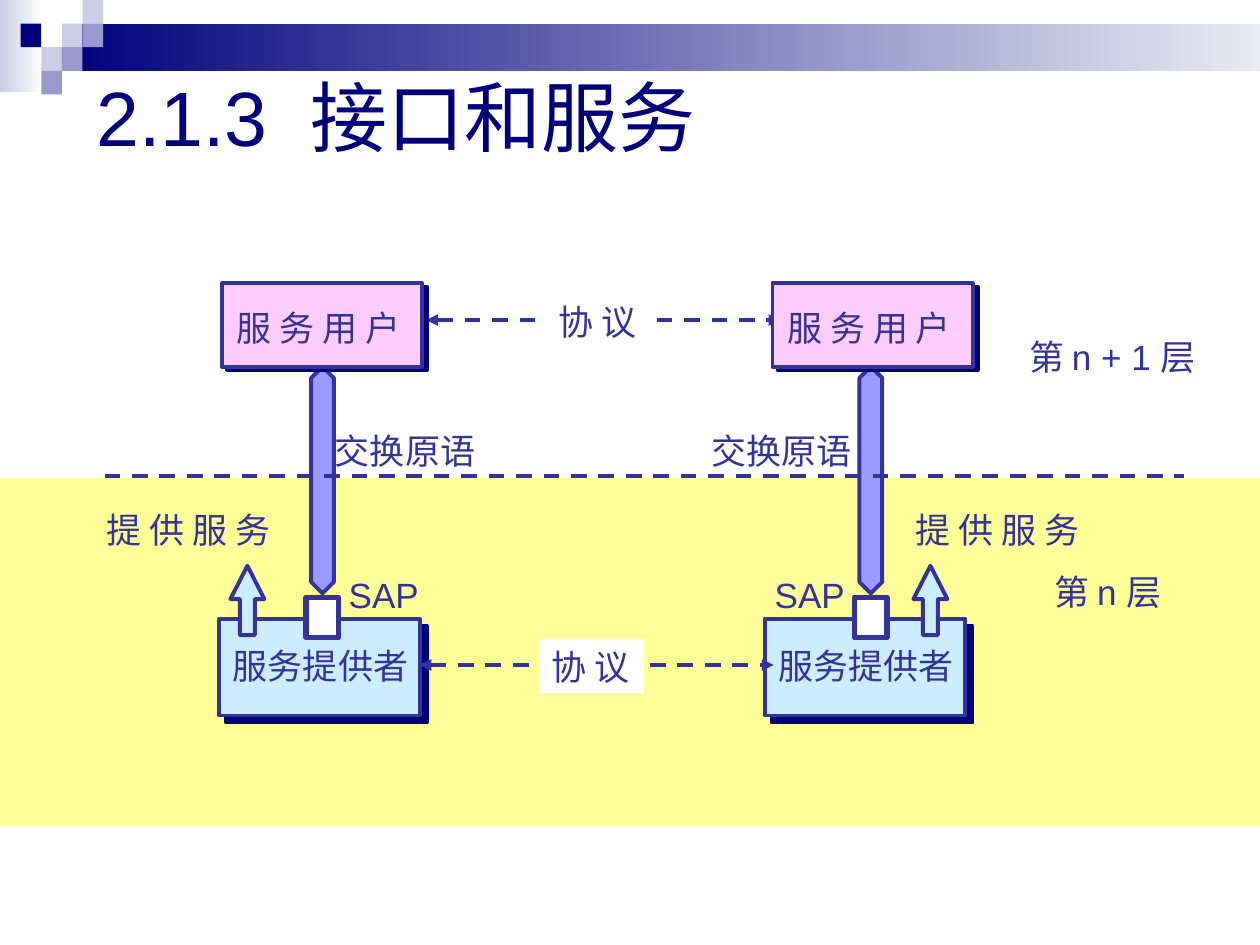
from pptx import Presentation, util as u
from pptx.dml.color import RGBColor
from pptx.enum import dml, shapes, text
from pptx.oxml import parse_xml
from pptx.oxml.ns import nsdecls

Pt = u.Pt
MS = shapes.MSO_SHAPE
NAVY = RGBColor(0x00, 0x00, 0x7D)
INDIGO = RGBColor(0x33, 0x33, 0x99)
VIOLET = RGBColor(0x99, 0x99, 0xFF)
LILAC = RGBColor(0x99, 0x99, 0xCC)
PALE = RGBColor(0xCC, 0xCC, 0xE6)
PINK = RGBColor(0xFF, 0xCC, 0xFF)
SKY = RGBColor(0xCC, 0xEC, 0xFF)
YELLOW = RGBColor(0xFF, 0xFF, 0x99)
WHITE = RGBColor(0xFF, 0xFF, 0xFF)


def add_box(s, x, y, w, h, fill, kind=MS.RECTANGLE, line=0, adj=(), shadow=None):
    """Add a preset shape; shadow is (distance in points, angle in degrees)."""
    sp = s.shapes.add_shape(kind, Pt(x), Pt(y), Pt(w), Pt(h))
    for i, value in enumerate(adj):
        sp.adjustments[i] = value
    if isinstance(fill, tuple) and not isinstance(fill, RGBColor):
        sp.fill.gradient()
        sp.fill.gradient_angle = 0
        for stop, color, pos in zip(sp.fill.gradient_stops, fill, (0, 1)):
            stop.color.rgb, stop.position = color, pos
    else:
        sp.fill.solid()
        sp.fill.fore_color.rgb = fill
    if line:
        sp.line.color.rgb = INDIGO
        sp.line.width = Pt(line)
    else:
        sp.line.fill.background()
    sp.shadow.inherit = False
    if shadow:
        dist, angle = shadow
        effects = sp._element.spPr.find('{*}effectLst')
        effects.append(parse_xml(
            f'<a:outerShdw {nsdecls("a")} blurRad="0" dist="{Pt(dist)}" dir="{angle * 60000}" '
            f'algn="ctr" rotWithShape="0"><a:srgbClr val="{NAVY}"/></a:outerShdw>'))
    return sp


def add_text(s, words, x, y, w, h=31, size=20, color=INDIGO, fill=None, wrap=False,
             anchor=text.MSO_ANCHOR.TOP, grow=True):
    sp = s.shapes.add_textbox(Pt(x), Pt(y), Pt(w), Pt(h))
    if fill is not None:
        sp.fill.solid()
        sp.fill.fore_color.rgb = fill
    tf = sp.text_frame
    tf.word_wrap = wrap
    tf.vertical_anchor = anchor
    if grow:
        tf.auto_size = text.MSO_AUTO_SIZE.SHAPE_TO_FIT_TEXT
    r = tf.paragraphs[0].add_run()
    r.text = words
    r.font.name, r.font.size, r.font.color.rgb = 'Arial', Pt(size), color
    return sp


def add_dashes(s, x1, x2, y, arrows=False):
    line = s.shapes.add_connector(shapes.MSO_CONNECTOR.STRAIGHT, Pt(x1), Pt(y), Pt(x2), Pt(y))
    line.line.color.rgb = INDIGO
    line.line.width = Pt(2.25)
    line.line.dash_style = dml.MSO_LINE.DASH
    if arrows:
        for end in ('headEnd', 'tailEnd'):
            line.line._get_or_add_ln().append(
                parse_xml(f'<a:{end} {nsdecls("a")} type="triangle"/>'))
    line._element.spPr.append(parse_xml(f'<a:effectLst {nsdecls("a")}/>'))


def header(s, x, y):
    """Gradient bars, checker squares and the title."""
    add_box(s, x, y, 24.5, 52.5, (PALE, WHITE))
    add_box(s, x + 35.3, y + 13.5, 744.5, 27, (NAVY, WHITE))
    step_x, step_y = 11.8, 13.5
    squares = [(3, 1, PALE), (4, 0, PALE), (4, 1, LILAC), (2, 2, PALE),
               (1, 1, NAVY), (3, 2, LILAC), (2, 3, LILAC)]
    for col, row, color in squares:
        add_box(s, x + col * step_x, y + row * step_y, step_x, step_y, color)
    add_text(s, '2.1.3  接口和服务', x + 48.2, y + 30.2, 578, 72, size=44, color=NAVY,
             wrap=True, anchor=text.MSO_ANCHOR.MIDDLE, grow=False)


def protocol(s, x, y):
    """Dashed two-way link with its label."""
    add_dashes(s, x, x + 202.3, y, arrows=True)
    add_text(s, '协 议', x + 68.4, y - 14.8, 59.8, fill=WHITE)


def stack(s, x, y, provider, axis, primitive, offer, offer_text, sap):
    """One user over one provider; the keywords are offsets from the left edge x."""
    fill = WHITE if primitive > 0 else None
    add_text(s, '交换原语', x + primitive, y + 79.9, 94.3, fill=fill)
    add_box(s, x + axis - 6.5, y + 47.5, 13, 129.6, VIOLET, MS.UP_DOWN_ARROW, 2.25, (0.5, 2.02))
    add_box(s, x, y, 114.5, 47.5, PINK, line=2.25, shadow=(3.6, 34))
    add_text(s, '服 务 用 户', x + 1.4, y + 9.4, 110.9)
    add_box(s, x + provider, y + 191.5, 114.5, 55.4, SKY, line=2.25, shadow=(5.7, 45))
    add_box(s, x + offer, y + 161.3, 19.4, 39.6, SKY, MS.UP_ARROW, 2.25, (0.443, 0.982))
    add_text(s, '提 供 服 务', x + offer_text, y + 125.3, 110.9)
    add_text(s, '服务提供者', x + provider + 0.7, y + 203, 114.5)
    add_box(s, x + axis - 9.4, y + 179.3, 18.7, 23, WHITE, line=3)
    add_text(s, 'SAP', x + sap, y + 162, 54.7)


prs = Presentation()
prs.slide_width, prs.slide_height = Pt(720), Pt(540)
s = prs.slides.add_slide(prs.slide_layouts[6])

header(s, 0, 0)

# Layer n band
add_box(s, 0, 273.3, 720, 198.7, YELLOW)

# Users, providers and the links between them
protocol(s, 243.6, 182.9)
stack(s, 126.7, 162, provider=-1.4, axis=57.6, primitive=57.6, offer=5,
      offer_text=-72.7, sap=65.5)
stack(s, 441.4, 162, provider=-4.3, axis=56.2, primitive=-41.8, offer=80.6,
      offer_text=74.9, sap=-5.8)
protocol(s, 239.8, 380)

# Layer boundary and layer names
add_dashes(s, 59.8, 676.8, 272.2)
add_text(s, '第 n 层', 595.4, 322.6, 76.3, fill=YELLOW, wrap=True)
add_text(s, '第 n + 1 层', 581, 187.9, 110.2, fill=WHITE, wrap=True)

prs.save("out.pptx")
